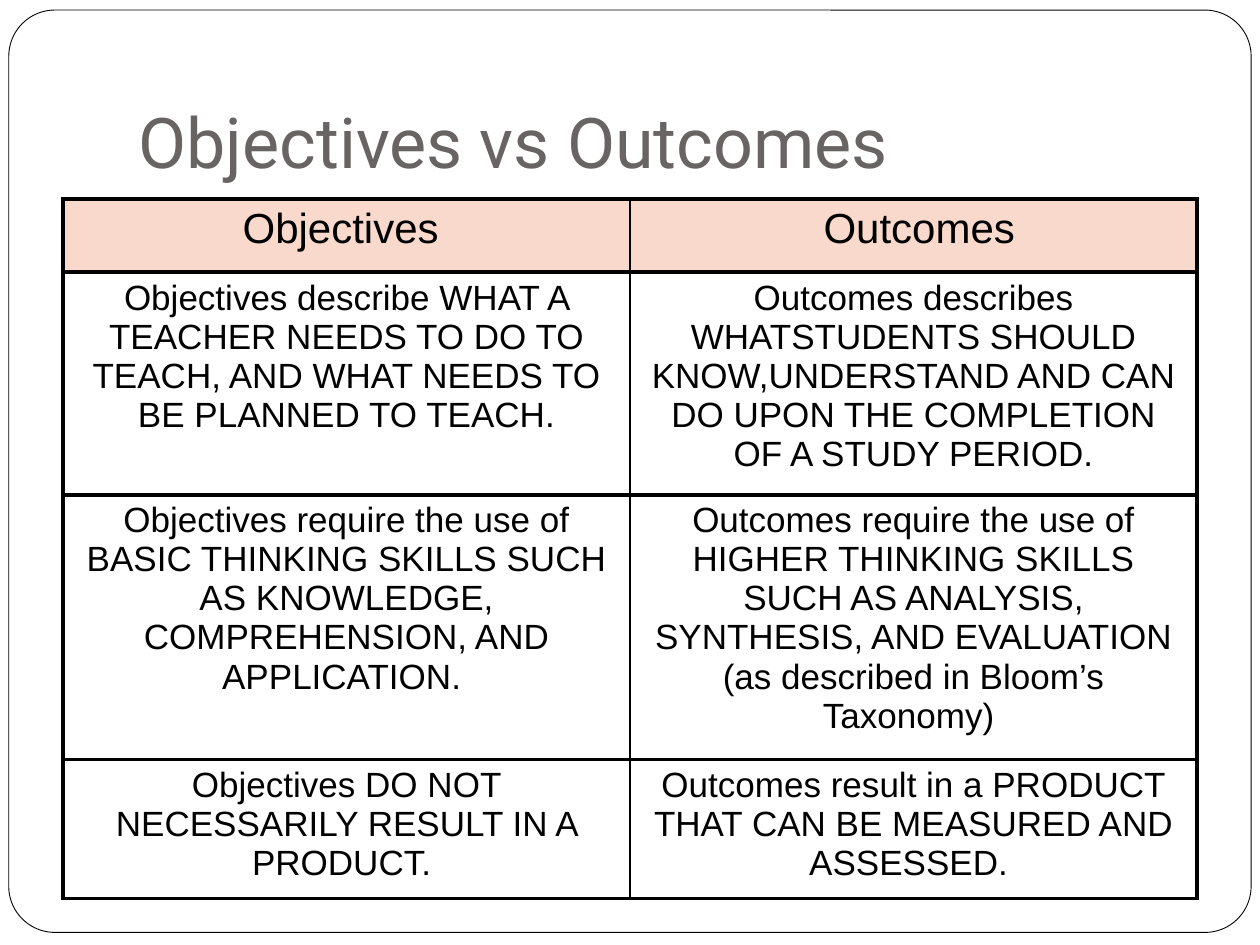
from lxml import etree
from pptx import Presentation
from pptx.dml.color import RGBColor
from pptx.enum import shapes, text
from pptx.oxml import ns
from pptx.util import Inches, Pt

BLACK = RGBColor(0x00, 0x00, 0x00)
WHITE = RGBColor(0xFF, 0xFF, 0xFF)
GREY = RGBColor(0x69, 0x64, 0x64)
PEACH = RGBColor(0xFA, 0xD9, 0xCD)

THIN, THICK = 1, 2.25
ROW_HEIGHTS = [0.58, 1.67, 1.81, 1.03]
COL_WIDTHS = [4.5, 4.5]
ROWS = [
    ("Objectives ", " Outcomes"),
    ("Objectives describe WHAT A TEACHER NEEDS TO DO TO TEACH, "
     "AND WHAT NEEDS TO BE PLANNED TO TEACH.",
     "Outcomes describes WHATSTUDENTS SHOULD KNOW,UNDERSTAND AND CAN DO "
     "UPON THE COMPLETION OF A STUDY PERIOD."),
    ("Objectives require the use of BASIC THINKING SKILLS SUCH AS KNOWLEDGE, "
     "COMPREHENSION, AND APPLICATION. ",
     "Outcomes require the use of HIGHER THINKING SKILLS SUCH AS ANALYSIS, "
     "SYNTHESIS, AND EVALUATION (as described in Bloom’s Taxonomy) "),
    ("Objectives DO NOT NECESSARILY RESULT IN A PRODUCT. ",
     "Outcomes result in a PRODUCT THAT CAN BE MEASURED AND ASSESSED. "),
]


def write(tf, content, size, font="Arial", color=BLACK, align=text.PP_ALIGN.LEFT):
    """Put one formatted run into the first paragraph of a text frame."""
    p = tf.paragraphs[0]
    p.alignment = align
    r = p.add_run()
    r.text = content
    r.font.size = Pt(size)
    r.font.name = font
    r.font.color.rgb = color


def add_frame(s):
    """Draw the rounded outline around the slide."""
    sp = s.shapes.add_shape(shapes.MSO_SHAPE.ROUNDED_RECTANGLE, Inches(0.07),
                            Inches(0.08), Inches(9.86), Inches(7.32))
    sp.adjustments[0] = 0.05
    sp.shadow.inherit = False
    sp.fill.solid()
    sp.fill.fore_color.rgb = WHITE
    sp.line.color.rgb = BLACK
    sp.line.width = Pt(0.5)


def add_title(s, content):
    """Add the bottom-anchored slide title."""
    tf = s.shapes.add_textbox(Inches(1), Inches(0.3), Inches(8.5), Inches(1.25)).text_frame
    tf.word_wrap = True
    tf.vertical_anchor = text.MSO_ANCHOR.BOTTOM
    tf.margin_bottom = Inches(0.1)
    write(tf, content, 40, font="Roboto", color=GREY)


def set_borders(cell, **widths):
    """Give a cell black borders, with widths in points keyed by side (L, R, T, B)."""
    tc_pr = cell._tc.get_or_add_tcPr()
    for i, (side, width) in enumerate(widths.items()):
        ln = etree.Element(ns.qn(f"a:ln{side}"), w=str(Pt(width)))
        fill = etree.SubElement(ln, ns.qn("a:solidFill"))
        etree.SubElement(fill, ns.qn("a:srgbClr"), val=str(BLACK))
        tc_pr.insert(i, ln)


def add_comparison(s):
    """Add the two-column comparison table."""
    table = s.shapes.add_table(len(ROWS), len(COL_WIDTHS), Inches(0.5), Inches(1.58),
                               Inches(sum(COL_WIDTHS)), Inches(sum(ROW_HEIGHTS))).table
    for col, width in zip(table.columns, COL_WIDTHS):
        col.width = Inches(width)
    for i, (contents, height) in enumerate(zip(ROWS, ROW_HEIGHTS)):
        table.rows[i].height = Inches(height)
        for j, content in enumerate(contents):
            cell = table.cell(i, j)
            cell.fill.solid()
            cell.fill.fore_color.rgb = WHITE if i else PEACH
            set_borders(cell, L=THIN if j else THICK, R=THICK if j else THIN,
                        T=THICK, B=THICK)
            write(cell.text_frame, content, 20 if i else 24, align=text.PP_ALIGN.CENTER)


def main():
    """Build and save the slide."""
    prs = Presentation()
    prs.slide_width, prs.slide_height = Inches(10), Inches(7.5)
    s = prs.slides.add_slide(prs.slide_layouts[6])
    add_frame(s)
    add_title(s, "Objectives vs Outcomes")
    add_comparison(s)
    prs.save("out.pptx")


if __name__ == "__main__":
    main()
